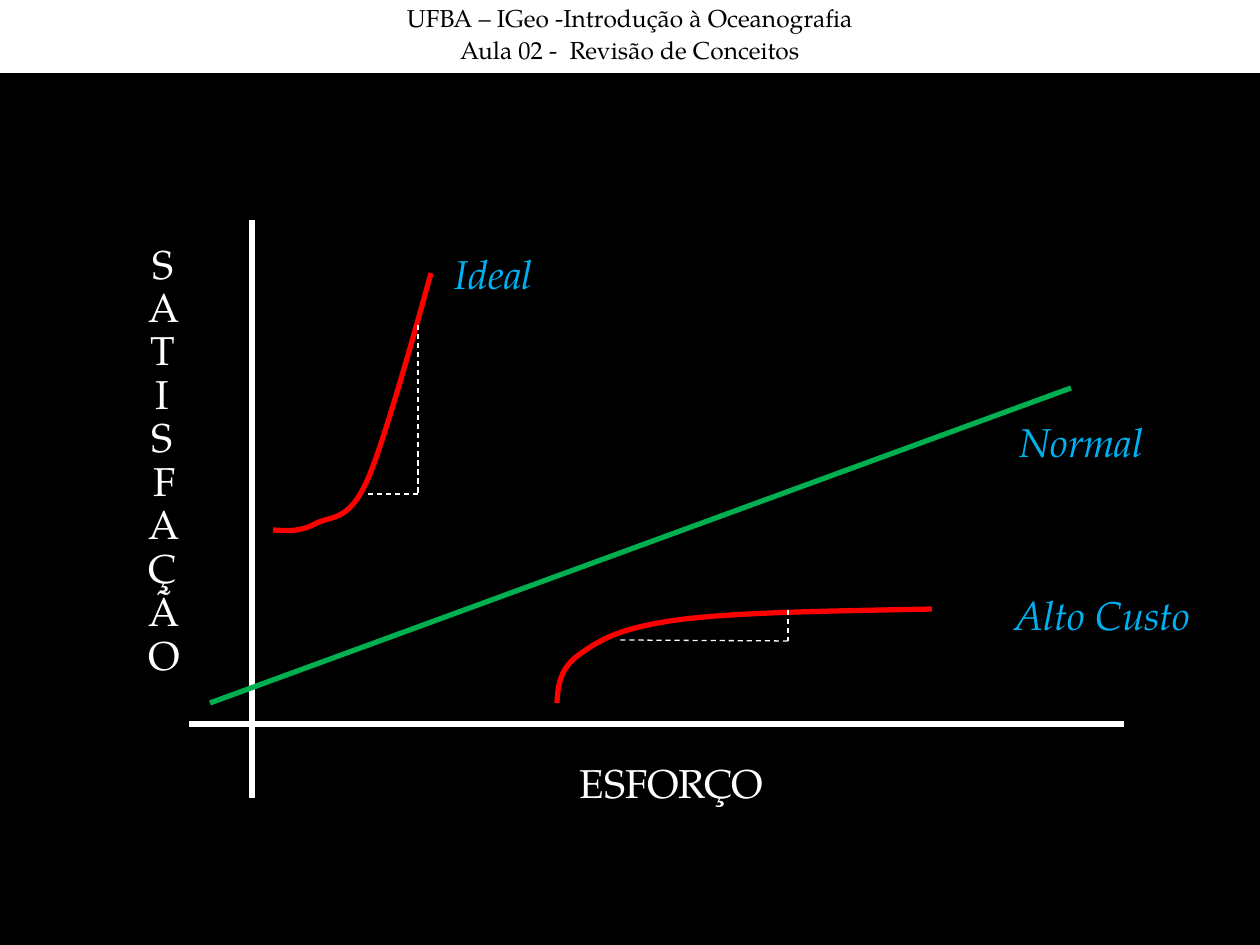
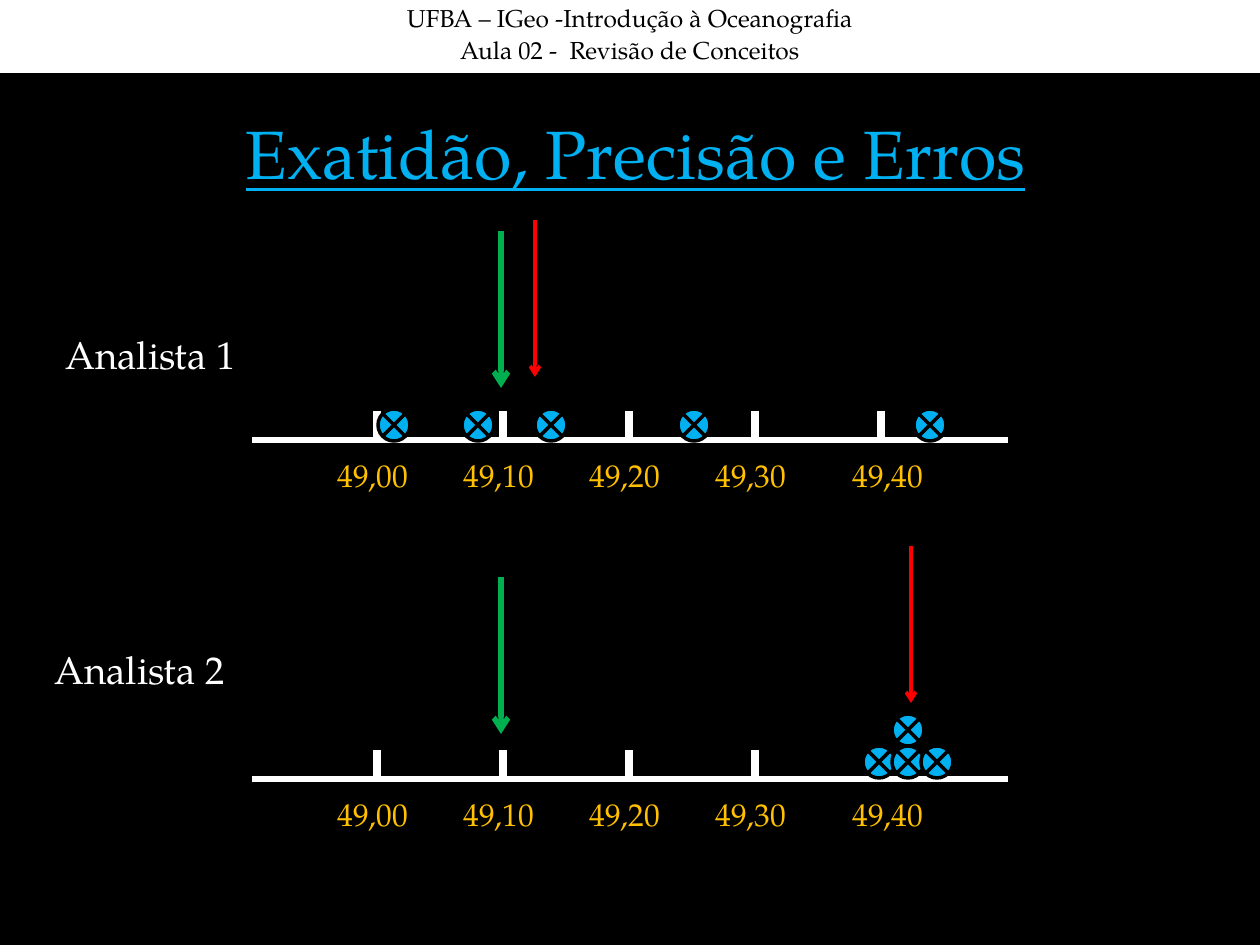
from pptx import Presentation
from pptx.dml.color import RGBColor
from pptx.enum.dml import MSO_LINE
from pptx.enum.shapes import MSO_CONNECTOR, MSO_SHAPE
from pptx.enum.text import MSO_ANCHOR, MSO_AUTO_SIZE, PP_ALIGN
from pptx.oxml.ns import qn
from pptx.util import Pt
from lxml import etree

EMU_PER_PX = 914400 / 126
WIDTH, HEIGHT = 1260, 945
FONT = "TeX Gyre Pagella"
BLACK, WHITE, RED, GREEN = "000000", "FFFFFF", "FF0000", "00B050"
BLUE, AMBER = "00B0F0", "FFC000"
CENTER, LEFT = PP_ALIGN.CENTER, PP_ALIGN.LEFT
TOP, MIDDLE = MSO_ANCHOR.TOP, MSO_ANCHOR.MIDDLE
FIT_SHAPE = MSO_AUTO_SIZE.SHAPE_TO_FIT_TEXT
STRAIGHT = MSO_CONNECTOR.STRAIGHT
RECTANGLE, CROSSED_CIRCLE = MSO_SHAPE.RECTANGLE, MSO_SHAPE.FLOWCHART_SUMMING_JUNCTION
DASH = MSO_LINE.DASH

HEADER = ["UFBA – IGeo -Introdução à Oceanografia", "Aula 02 -  Revisão de Conceitos"]
AXIS_LABEL = {"size": Pt(23)}
CURVE_LABEL = {"size": Pt(23), "italic": True}
TICK_START, TICK_STEP = 377, 126
TICK_LABEL_LEFTS = [325, 451, 577, 703, 840]
MARKER_SIZE = 32


def px(*lengths):
    """Turn pixel lengths into EMU."""
    return [round(length * EMU_PER_PX) for length in lengths]


def color(code):
    """Turn a hex string into a colour."""
    return RGBColor.from_string(code)


def style_line(line, code, width):
    """Give an outline its colour and width in points."""
    line.color.rgb = color(code)
    line.width = Pt(width)


def write(shape, texts, code, formats, align=CENTER, anchor=TOP, **spacing):
    """Fill a shape with one paragraph for each text."""
    frame = shape.text_frame
    frame.word_wrap = True
    frame.vertical_anchor = anchor
    for index, text in enumerate(texts):
        para = frame.add_paragraph() if index else frame.paragraphs[0]
        para.alignment = align
        for name, value in spacing.items():
            if index or name != "space_before":
                setattr(para, name, value)
        span = para.add_run()
        span.text = text
        span.font.name = FONT
        span.font.color.rgb = color(code)
        for name, value in formats.items():
            setattr(span.font, name, value)


def add_text(page, area, text, code, formats, **layout):
    """Add a centred text box."""
    box = page.shapes.add_textbox(*px(*area))
    write(box, [text], code, formats, anchor=MIDDLE, **layout)


def add_growing_label(page, area, text, code, size):
    """Add a left-aligned text box that fits its text."""
    box = page.shapes.add_textbox(*px(*area))
    write(box, [text], code, {"size": Pt(size)}, align=LEFT)
    box.text_frame.auto_size = FIT_SHAPE


def add_filled(page, kind, area, code):
    """Add a preset shape with a solid fill and no shadow."""
    shape = page.shapes.add_shape(kind, *px(*area))
    shape.shadow.inherit = False
    shape.fill.solid()
    shape.fill.fore_color.rgb = color(code)
    return shape


def add_line(page, ends, code, width, dashed=False, arrow=False):
    """Add a straight line, optionally dashed or with an arrowhead."""
    connector = page.shapes.add_connector(STRAIGHT, *px(*ends))
    style_line(connector.line, code, width)
    if dashed:
        connector.line.dash_style = DASH
    if arrow:
        outline = connector.line._get_or_add_ln()
        etree.SubElement(outline, qn("a:tailEnd"), type="arrow")
    etree.SubElement(connector._element.spPr, qn("a:effectLst"))


def add_curve(page, start, controls):
    """Add a red curve, with three control points for each Bézier piece."""
    builder = page.shapes.build_freeform(*px(*start), scale=1.0)
    builder.add_line_segments([px(*point) for point in controls], close=False)
    curve = builder.convert_to_shape()
    curve.shadow.inherit = False
    curve.fill.background()
    style_line(curve.line, RED, 3)
    outline = next(curve._element.iter(qn("a:path")))
    segments = outline.findall(qn("a:lnTo"))
    for first in range(0, len(segments), 3):
        piece = etree.SubElement(outline, qn("a:cubicBezTo"))
        for segment in segments[first:first + 3]:
            piece.append(segment[0])
            outline.remove(segment)


def add_page(deck):
    """Add a black slide with the white course header."""
    page = deck.slides.add_slide(deck.slide_layouts[6])
    page.background.fill.solid()
    page.background.fill.fore_color.rgb = color(BLACK)
    band = add_filled(page, RECTANGLE, (0, 0, WIDTH, 73), WHITE)
    band.line.fill.background()
    write(band, HEADER, BLACK, {"size": Pt(14)}, line_spacing=0.9, space_before=Pt(3.5))
    return page


def add_scale(page, axis, true_value, mean, markers):
    """Add a number line with ticks, two arrows and measurement markers."""
    add_line(page, (252, axis, 1008, axis), WHITE, 3)
    for index, left in enumerate(TICK_LABEL_LEFTS):
        tick = TICK_START + index * TICK_STEP
        add_line(page, (tick, axis - 29, tick, axis + 2), WHITE, 5)
        add_growing_label(page, (left, axis + 10, 105, 50), f"49,{index}0", AMBER, 18)
    for (x, top), code, width in ((mean, RED, 2), (true_value, GREEN, 3)):
        add_line(page, (x, top, x, top + 157), code, width, arrow=True)
    for left, top in markers:
        marker = add_filled(page, CROSSED_CIRCLE, (left, top, MARKER_SIZE, MARKER_SIZE), BLUE)
        style_line(marker.line, BLACK, 2)


def add_effort_page(deck):
    """Build the diagram of satisfaction against effort."""
    page = add_page(deck)
    add_line(page, (252, 220, 252, 798), WHITE, 3)
    add_line(page, (1124, 724, 189, 724), WHITE, 3)
    add_line(page, (1071, 388, 210, 703), GREEN, 3)
    add_curve(page, (557, 703), [
        (558, 685), (560, 668), (580, 654), (600, 640), (619, 628), (677, 620),
        (736, 612), (834, 611), (932, 609)])
    add_curve(page, (273, 530), [
        (286, 531), (300, 532), (315, 524), (331, 515), (348, 523), (367, 481),
        (386, 440), (431, 273), (431, 273)])
    for ends in ((418, 325, 418, 494), (418, 494, 365, 494),
                 (788, 610, 788, 641), (788, 641, 620, 640)):
        add_line(page, ends, WHITE, 0.75, dashed=True)
    for area, text in (((945, 567, 315, 94), "Alto Custo"),
                       ((998, 399, 168, 84), "Normal"),
                       ((410, 231, 168, 84), "Ideal")):
        add_text(page, area, text, BLUE, CURVE_LABEL)
    add_text(page, (514, 735, 315, 94), "ESFORÇO", WHITE, AXIS_LABEL)
    add_text(page, (136, 220, 53, 483), "SATISFAÇÃO", WHITE, AXIS_LABEL, line_spacing=0.9)


def add_precision_page(deck):
    """Build the comparison of the two analysts."""
    page = add_page(deck)
    add_text(page, (42, 84, 1187, 136), "Exatidão, Precisão e Erros", BLUE,
             {"size": Pt(39), "underline": True})
    add_scale(page, 440, (501, 231), (535, 220),
              [(left, 409) for left in (378, 535, 462, 678, 914)])
    add_scale(page, 779, (501, 577), (911, 546),
              [(863, 746), (892, 746), (921, 746), (892, 714)])
    add_growing_label(page, (53, 325, 210, 59), "Analista 1", WHITE, 22)
    add_growing_label(page, (42, 640, 210, 59), "Analista 2", WHITE, 22)


def main():
    """Build and save the deck."""
    deck = Presentation()
    deck.slide_width, deck.slide_height = px(WIDTH, HEIGHT)
    add_effort_page(deck)
    add_precision_page(deck)
    deck.save("out.pptx")


if __name__ == "__main__":
    main()
